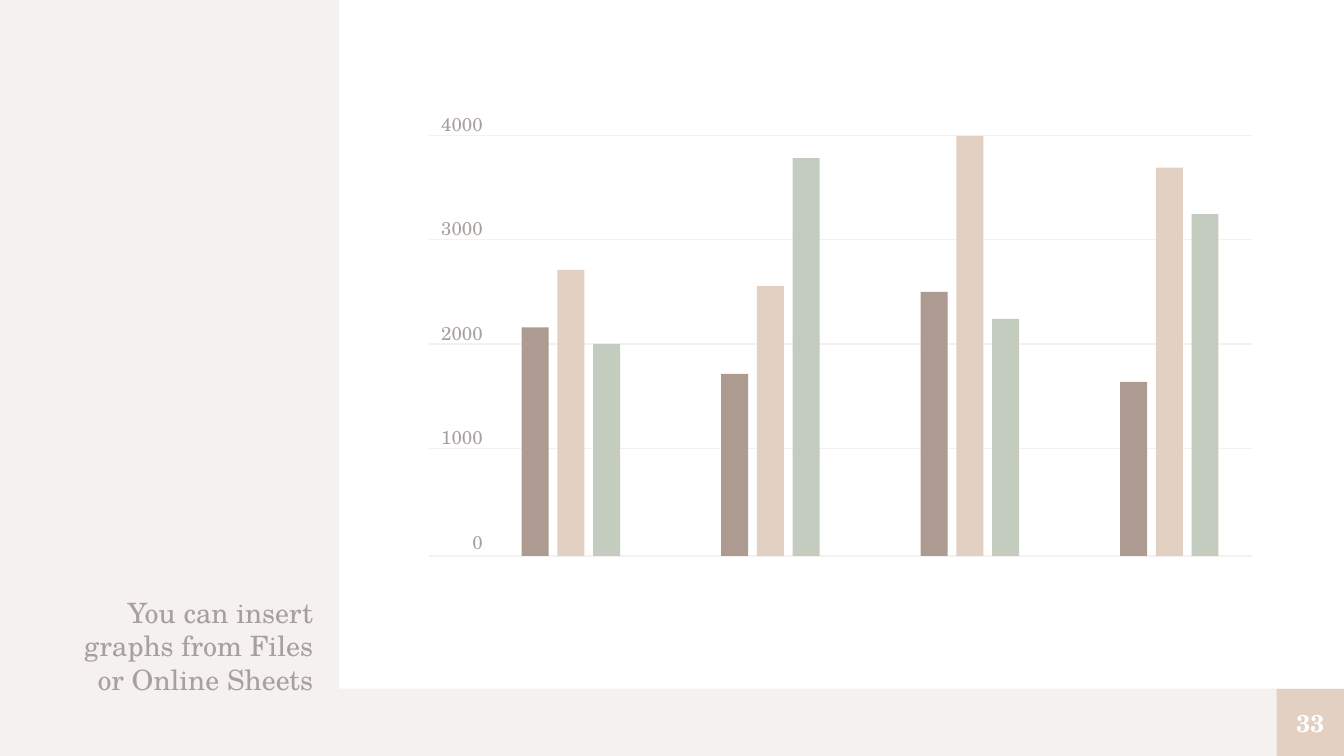
from pptx import Presentation
from pptx.dml.color import RGBColor
from pptx.enum import shapes, text
from pptx.oxml.ns import qn
from pptx.util import Cm, Pt

FONT = "TeX Gyre Schola"
PALE, WHITE, GREY = "F5F1F0", "FFFFFF", "A8A09D"
BROWN, SAND, SAGE = "AD9B91", "E2D1C2", "C4CBBF"


def paint(fill, color):
    fill.solid()
    fill.fore_color.rgb = RGBColor.from_string(color)


def write(shape, lines, size, color, align, anchor, bold=False):
    frame = shape.text_frame
    frame.word_wrap = True
    frame.vertical_anchor = anchor
    frame.margin_left = frame.margin_right = frame.margin_top = frame.margin_bottom = 0
    frame.text = "\n".join(lines)
    for paragraph in frame.paragraphs:
        paragraph.alignment = align
        for run in paragraph.runs:
            run.font.name = FONT
            run.font.size = Pt(size)
            run.font.bold = bold
            paint(run.font.fill, color)


presentation = Presentation()
presentation.slide_width = Cm(25.4)
presentation.slide_height = Cm(14.29)
slide = presentation.slides.add_slide(presentation.slide_layouts[6])
paint(slide.background.fill, PALE)

baseline = 10.51
rectangles = [
    (6.41, 0, 18.99, 13.02, WHITE),
    (24.13, 13.02, 1.27, 1.27, SAND),
]
bar_heights = [
    (4.32, 5.41, 4.01),
    (3.44, 5.1, 7.52),
    (4.99, 7.94, 4.48),
    (3.29, 7.34, 6.46),
]
bars = []
for group, heights in enumerate(bar_heights):
    for series, (height, color) in enumerate(zip(heights, (BROWN, SAND, SAGE))):
        left = 9.86 + group * 3.77 + series * 0.675
        bars.append((left, baseline - height, 0.51, height, color))

caption = slide.shapes.add_textbox(Cm(1.02), Cm(10.77), Cm(4.9), Cm(2.39))
write(caption, ["You can insert graphs from Files or Online Sheets"], 15, GREY,
      text.PP_ALIGN.RIGHT, text.MSO_ANCHOR.BOTTOM)

for left, top, width, height, color in rectangles:
    panel = slide.shapes.add_shape(
        shapes.MSO_SHAPE.RECTANGLE, Cm(left), Cm(top), Cm(width), Cm(height))
    panel.shadow.inherit = False
    paint(panel.fill, color)
    panel.line.fill.background()
write(panel, ["33"], 13, WHITE, text.PP_ALIGN.CENTER, text.MSO_ANCHOR.MIDDLE, True)

for y in (2.56, 4.53, 6.5, 8.48, baseline):
    gridline = slide.shapes.add_connector(
        shapes.MSO_CONNECTOR.STRAIGHT, Cm(8.1), Cm(y), Cm(23.67), Cm(y))
    paint(gridline.line.fill, PALE)
    gridline.line.width = Pt(0.75)
    properties = gridline._element.spPr
    properties.append(properties.makeelement(qn("a:effectLst"), {}))

axis = slide.shapes.add_textbox(Cm(8.1), Cm(2.13), Cm(1.02), Cm(8.41))
write(axis, [str(value) for value in range(4000, -1, -1000)], 10, GREY,
      text.PP_ALIGN.RIGHT, text.MSO_ANCHOR.TOP)
for paragraph in axis.text_frame.paragraphs[1:]:
    paragraph.space_before = Pt(44)

for left, top, width, height, color in bars:
    bar = slide.shapes.add_shape(
        shapes.MSO_SHAPE.RECTANGLE, Cm(left), Cm(top), Cm(width), Cm(height))
    bar.shadow.inherit = False
    paint(bar.fill, color)
    bar.line.fill.background()

presentation.save("out.pptx")
